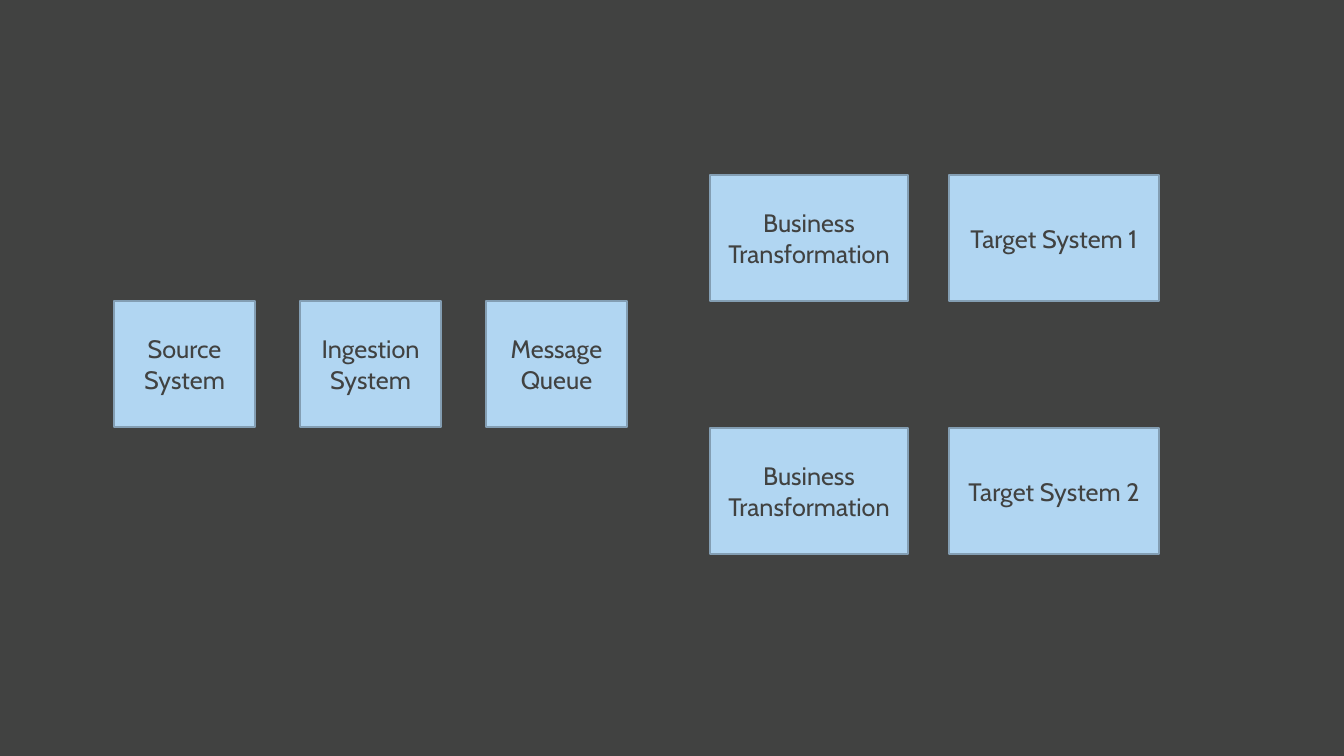
from pptx import Presentation
from pptx.dml.color import RGBColor
from pptx.enum.shapes import MSO_SHAPE
from pptx.enum.text import MSO_ANCHOR, PP_ALIGN
from pptx.util import Pt

RECTANGLE = MSO_SHAPE.RECTANGLE
MIDDLE = MSO_ANCHOR.MIDDLE
CENTER = PP_ALIGN.CENTER

COLORS = {"background": "414241", "box": "B1D6F2", "border": "839EB3", "text": "414241"}
FONT = "Cabin"

# Shared stages, left to right
STAGES = ["Source System", "Ingestion System", "Message Queue"]
# Branches fed by the queue, top to bottom: (transformation, target)
BRANCHES = [
    ("Business Transformation", "Target System 1"),
    ("Business Transformation", "Target System 2"),
]

# Lengths in pixels
EMU_PER_PX = 914400 / 100.8
SLIDE_WIDTH, SLIDE_HEIGHT = 1344, 756
BOX_HEIGHT = 126
STAGE_LEFT, STAGE_TOP, STAGE_WIDTH, STAGE_PITCH = 114, 301, 141, 186
BRANCH_TOP, BRANCH_PITCH = 175, 253
BRANCH_COLUMNS = [(710, 198), (949, 210)]  # left, width


def px(length):
    """Convert pixels to EMU."""
    return round(length * EMU_PER_PX)


def color(role):
    """Return the colour for a role."""
    return RGBColor.from_string(COLORS[role])


def add_box(slide, label, left, top, width):
    """Add one labelled system box."""
    box = slide.shapes.add_shape(RECTANGLE, px(left), px(top), px(width), px(BOX_HEIGHT))
    box.shadow.inherit = False
    box.fill.solid()
    box.fill.fore_color.rgb = color("box")
    box.line.color.rgb = color("border")
    box.line.width = Pt(1)
    frame = box.text_frame
    frame.word_wrap = True
    frame.vertical_anchor = MIDDLE
    paragraph = frame.paragraphs[0]
    paragraph.text = label
    paragraph.alignment = CENTER
    paragraph.font.name = FONT
    paragraph.font.size = Pt(18)
    paragraph.font.color.rgb = color("text")


presentation = Presentation()
presentation.slide_width = px(SLIDE_WIDTH)
presentation.slide_height = px(SLIDE_HEIGHT)
slide = presentation.slides.add_slide(presentation.slide_layouts[6])
slide.background.fill.solid()
slide.background.fill.fore_color.rgb = color("background")

for column, stage in enumerate(STAGES):
    add_box(slide, stage, STAGE_LEFT + column * STAGE_PITCH, STAGE_TOP, STAGE_WIDTH)

for row, branch in enumerate(BRANCHES):
    for label, (left, width) in zip(branch, BRANCH_COLUMNS):
        add_box(slide, label, left, BRANCH_TOP + row * BRANCH_PITCH, width)

presentation.save("out.pptx")
